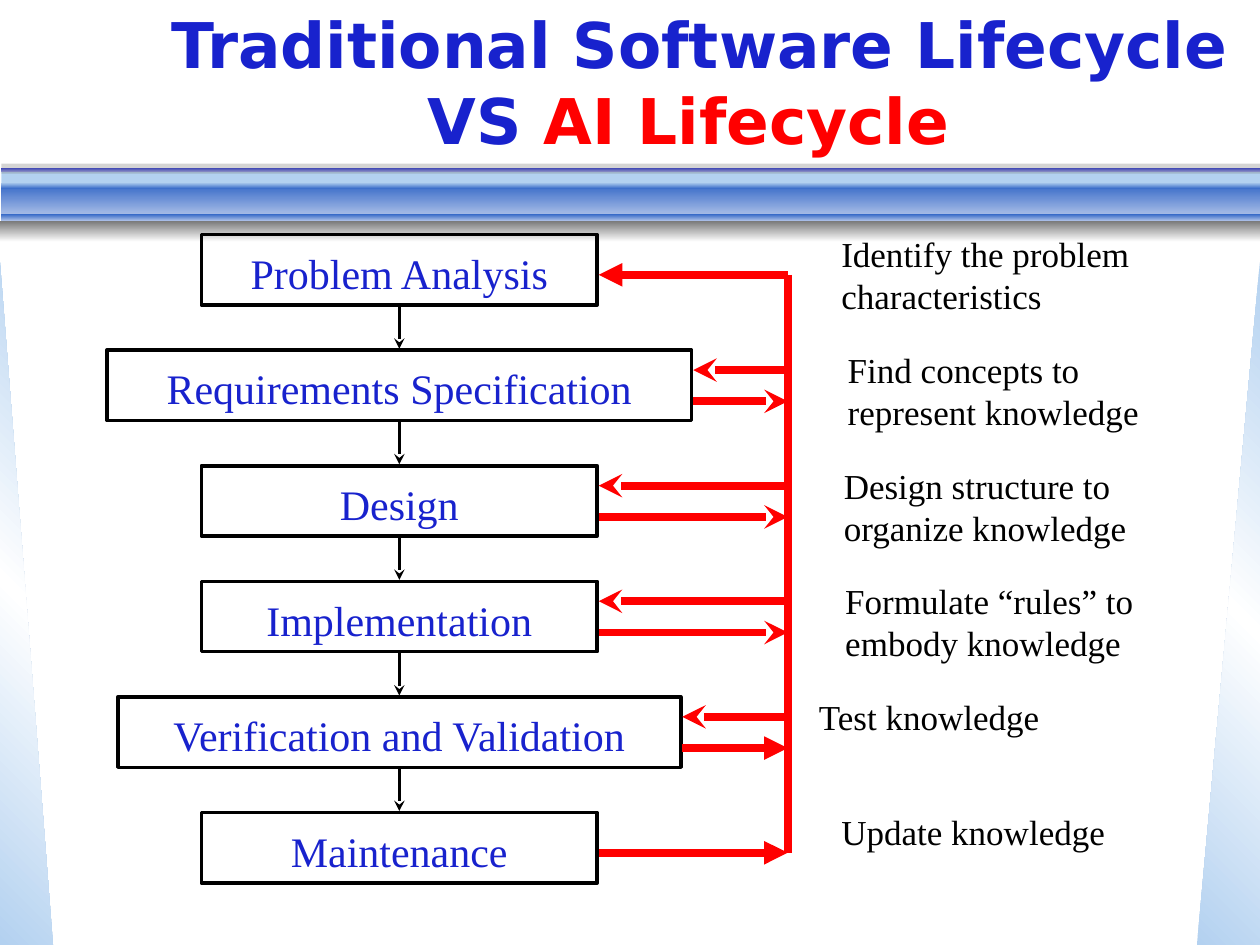
from lxml import etree
from pptx import Presentation
from pptx.dml.color import RGBColor
from pptx.enum.shapes import MSO_CONNECTOR, MSO_SHAPE
from pptx.enum.text import MSO_ANCHOR, MSO_AUTO_SIZE, PP_ALIGN
from pptx.oxml.ns import qn
from pptx.util import Cm, Pt

RECTANGLE, TRIANGLE = MSO_SHAPE.RECTANGLE, MSO_SHAPE.RIGHT_TRIANGLE
STRAIGHT = MSO_CONNECTOR.STRAIGHT
LEFT, CENTER = PP_ALIGN.LEFT, PP_ALIGN.CENTER
MIDDLE = MSO_ANCHOR.MIDDLE
FIT_SHAPE = MSO_AUTO_SIZE.SHAPE_TO_FIT_TEXT

BLUE = RGBColor(0x18, 0x22, 0xCD)
RED = RGBColor(0xFF, 0x00, 0x00)
BLACK = RGBColor(0x00, 0x00, 0x00)
WHITE = RGBColor(0xFF, 0xFF, 0xFF)
GRAY = RGBColor(0x77, 0x77, 0x77)
PALE = RGBColor(0xB3, 0xD1, 0xF0)
STEEL = RGBColor(0x35, 0x68, 0xC7)
LIGHT_STEEL = RGBColor(0xA9, 0xBE, 0xE7)
LAVENDER = RGBColor(0x87, 0x8D, 0xE5)

deck = Presentation()
deck.slide_width, deck.slide_height = Cm(25.4), Cm(19.05)
page = deck.slides.add_slide(deck.slide_layouts[6])


def add_label(lines, left, top, width, height, size, color, align):
    box = page.shapes.add_textbox(Cm(left), Cm(top), Cm(width), Cm(height))
    frame = box.text_frame
    frame.word_wrap = False
    frame.auto_size = FIT_SHAPE
    frame.text = lines
    for para in frame.paragraphs:
        para.alignment = align
        para.font.name = "Times New Roman"
        para.font.size = Pt(size)
        para.font.color.rgb = color


def add_arrow(x1, y1, x2, y2, color, width, head=None):
    """Draw a line whose arrowhead, if any, sits at its second point."""
    line = page.shapes.add_connector(STRAIGHT, Cm(x1), Cm(y1), Cm(x2), Cm(y2))
    line.line.color.rgb = color
    line.line.width = Pt(width)
    if head:
        etree.SubElement(line.line._get_or_add_ln(), qn("a:tailEnd"), type=head)
    etree.SubElement(line._element.spPr, qn("a:effectLst"))


# Backdrop: preset, left, top, width, height, clockwise angle, colours
backdrop = [
    (TRIANGLE, 0, 5.28, 1.07, 13.77, 315, [PALE, WHITE, PALE]),
    (TRIANGLE, 24.13, 5.28, 1.27, 13.77, 45, [PALE, WHITE, PALE]),
    (RECTANGLE, 0.03, 3.45, 25.37, 0.25, 90, [PALE]),
    (RECTANGLE, 0.03, 3.71, 25.37, 0.63, 90, [STEEL, LIGHT_STEEL]),
    (RECTANGLE, 0.03, 3.38, 25.37, 0.08, 90, [BLUE, LAVENDER]),
    (RECTANGLE, 0.03, 4.32, 25.37, 0.13, 90, [STEEL, LIGHT_STEEL]),
    (RECTANGLE, 0.03, 3.68, 25.37, 0.13, 90, [PALE, STEEL]),
    (RECTANGLE, 0, 4.45, 25.4, 0.43, 90, [GRAY, WHITE]),
    (RECTANGLE, 0.03, 3.3, 25.37, 0.2, 90, [GRAY]),
]
for preset, left, top, width, height, angle, colors in backdrop:
    shape = page.shapes.add_shape(preset, Cm(left), Cm(top), Cm(width), Cm(height))
    shape.shadow.inherit = False
    shape.line.fill.background()
    if preset == TRIANGLE and left > 0:
        shape._element.spPr.xfrm.set("flipH", "1")
    if len(colors) == 1:
        shape.fill.solid()
        shape.fill.fore_color.rgb = colors[0]
        if colors[0] == GRAY:
            solid = shape._element.spPr.find(".//" + qn("a:srgbClr"))
            etree.SubElement(solid, qn("a:alpha"), val="31000")
        continue
    shape.fill.gradient()
    shape.fill.gradient_angle = 360 - angle
    stops = shape._element.spPr.find(".//" + qn("a:gsLst"))
    for stop in list(stops):
        stops.remove(stop)
    for index, color in enumerate(colors):
        position = 100000 * index // (len(colors) - 1)
        stop = etree.SubElement(stops, qn("a:gs"), pos=str(position))
        etree.SubElement(stop, qn("a:srgbClr"), val=str(color))

# Title
title = page.shapes.add_textbox(Cm(2.9), Cm(0.91), Cm(22.4), Cm(1.47))
title.text_frame.word_wrap = True
title.text_frame.vertical_anchor = MIDDLE
para = title.text_frame.paragraphs[0]
para.alignment = CENTER
for words, color in [("Traditional Software Lifecycle VS ", BLUE), ("AI Lifecycle ", RED)]:
    span = para.add_run()
    span.text = words
    span.font.name = "DejaVu Sans"
    span.font.size = Pt(36)
    span.font.bold = True
    span.font.color.rgb = color

# Stages: name, text width, box width, note, note left, note width, heads back and out
stages = [
    ("Problem Analysis", 6.55, 7.98,
     "Identify the problem\ncharacteristics", 16.71, 6.32, "triangle", None),
    ("Requirements Specification", 9.91, 11.79,
     "Find concepts to\nrepresent knowledge", 16.84, 6.38, "stealth", "stealth"),
    ("Design", 2.92, 7.98,
     "Design structure to\norganize knowledge", 16.76, 6.22, "stealth", "stealth"),
    ("Implementation", 5.87, 7.98,
     "Formulate “rules” to\nembody knowledge", 16.79, 6.32, "stealth", "stealth"),
    ("Verification and Validation", 9.83, 11.35,
     "Test knowledge", 16.26, 5, "stealth", "triangle"),
    ("Maintenance", 4.88, 7.98,
     "Update knowledge", 16.71, 5.84, None, "triangle"),
]
FIRST_TOP, PITCH, BOX_HEIGHT = 4.73, 2.33, 1.42
AXIS, BUS = 8.05, 15.88
MIDWAY, BACK, OUT = 0.81, 0.4, 1.03

for index, stage in enumerate(stages):
    name, text_width, box_width, note, note_left, note_width, back, out = stage
    top = FIRST_TOP + index * PITCH
    add_label(name, AXIS - text_width / 2, top + 0.13, text_width, 1.27, 24, BLUE, CENTER)
    box = page.shapes.add_shape(RECTANGLE, Cm(AXIS - box_width / 2), Cm(top),
                                Cm(box_width), Cm(BOX_HEIGHT))
    box.shadow.inherit = False
    box.fill.background()
    box.line.color.rgb = BLACK
    box.line.width = Pt(2)
    if index:
        add_arrow(AXIS, top - PITCH + BOX_HEIGHT + 0.03, AXIS, top - 0.03, BLACK, 2, "stealth")
    note_height = 1.96 if "\n" in note else 1.09
    add_label(note, note_left, top - 0.16, note_width, note_height, 20, BLACK, LEFT)

    edge = AXIS + box_width / 2 + 0.03
    paired = back and out
    if back:
        y = top + (BACK if paired else MIDWAY)
        add_arrow(BUS, y, edge, y, RED, 4.5, back)
    if out:
        y = top + (OUT if paired else MIDWAY)
        add_arrow(edge, y, BUS, y, RED, 4.5, out)

bus_top = FIRST_TOP + MIDWAY
add_arrow(BUS, bus_top, BUS, bus_top + PITCH * (len(stages) - 1), RED, 4.5)

deck.save("out.pptx")
